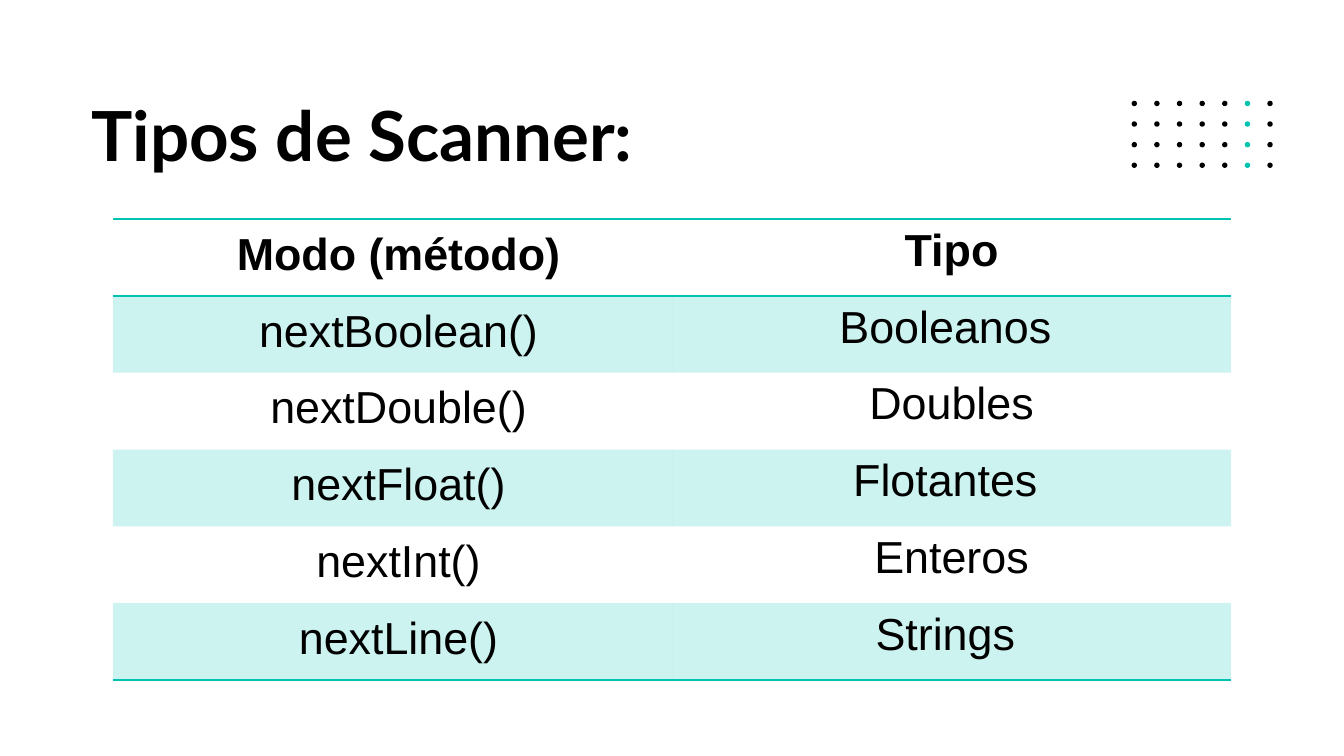
from dataclasses import dataclass

from lxml import etree
from pptx import Presentation
from pptx.dml.color import RGBColor
from pptx.enum import shapes, text
from pptx.oxml import ns
from pptx.util import Inches, Pt


@dataclass(frozen=True)
class Theme:
    ink: str = "000000"
    accent: str = "00C3B1"
    band_alpha: int = 20
    title_font: str = "Lato"
    body_font: str = "Arial"
    title_size: int = 37
    body_size: int = 24
    border_width: int = 1


@dataclass(frozen=True)
class ScannerType:
    method: str
    kind: str


@dataclass(frozen=True)
class DotGrid:
    left: float
    top: float
    right: float
    bottom: float
    cols: int
    rows: int
    accent_col: int
    size: float


THEME = Theme()
NO_STYLE = "{2D5ABB26-0587-4C30-8999-92F81FD0307C}"
HEADER = ScannerType("Modo (método)", "Tipo")
TYPES = [
    ScannerType("nextBoolean()", "Booleanos "),
    ScannerType("nextDouble()", "Doubles"),
    ScannerType("nextFloat()", "Flotantes "),
    ScannerType("nextInt()", "Enteros"),
    ScannerType("nextLine()", "Strings "),
]
DOTS = DotGrid(8.42, 0.75, 9.43, 1.21, cols=7, rows=4, accent_col=5, size=0.04)


def format_run(r, font: str, size: int, bold: bool) -> None:
    r.font.name = font
    r.font.size = Pt(size)
    r.font.bold = bold
    r.font.color.rgb = RGBColor.from_string(THEME.ink)


def add_dots(s, grid: DotGrid) -> None:
    dx = (grid.right - grid.left) / (grid.cols - 1)
    dy = (grid.bottom - grid.top) / (grid.rows - 1)
    for row in range(grid.rows):
        for col in range(grid.cols):
            sp = s.shapes.add_shape(
                shapes.MSO_SHAPE.OVAL,
                Inches(grid.left + col * dx), Inches(grid.top + row * dy),
                Inches(grid.size), Inches(grid.size))
            color = THEME.accent if col == grid.accent_col else THEME.ink
            sp.fill.solid()
            sp.fill.fore_color.rgb = RGBColor.from_string(color)
            sp.line.fill.background()
            sp.shadow.inherit = False


def set_title(s, title: str) -> None:
    sp = s.shapes.title
    sp.left, sp.top = Inches(0.58), Inches(0.59)
    sp.width, sp.height = Inches(8.86), Inches(0.79)
    tf = sp.text_frame
    tf.text = title
    tf.word_wrap = True
    tf.auto_size = text.MSO_AUTO_SIZE.NONE
    tf.vertical_anchor = text.MSO_ANCHOR.TOP
    tf.margin_left = tf.margin_right = tf.margin_top = tf.margin_bottom = Inches(0.1)
    p = tf.paragraphs[0]
    p.alignment = text.PP_ALIGN.LEFT
    p.line_spacing = 1.0
    p.space_before = Pt(0)
    format_run(p.runs[0], THEME.title_font, THEME.title_size, True)


def add_border(cell, side: str) -> None:
    tc_pr = cell._tc.get_or_add_tcPr()
    ln = etree.SubElement(tc_pr, ns.qn(f"a:{side}"), w=str(Pt(THEME.border_width)))
    fill = etree.SubElement(ln, ns.qn("a:solidFill"))
    etree.SubElement(fill, ns.qn("a:srgbClr"), val=THEME.accent)


def fill_band(cell) -> None:
    cell.fill.solid()
    cell.fill.fore_color.rgb = RGBColor.from_string(THEME.accent)
    clr = cell._tc.tcPr.find(ns.qn("a:solidFill")).find(ns.qn("a:srgbClr"))
    etree.SubElement(clr, ns.qn("a:alpha"), val=str(THEME.band_alpha * 1000))


def set_cell(cell, label: str, header: bool, banded: bool, borders: list[str]) -> None:
    cell.text = label
    p = cell.text_frame.paragraphs[0]
    p.alignment = text.PP_ALIGN.CENTER
    format_run(p.runs[0], THEME.body_font, THEME.body_size, header)
    for side in borders:
        add_border(cell, side)
    if banded:
        fill_band(cell)
    else:
        cell.fill.background()


def add_types_table(s, rows: list[ScannerType]) -> None:
    frame = s.shapes.add_table(
        len(rows), 2, Inches(0.84), Inches(1.63), Inches(8.32), Inches(3.43))
    table = frame.table
    table.first_row = table.horz_banding = False
    table._tbl.tblPr.find(ns.qn("a:tableStyleId")).text = NO_STYLE
    for i, row in enumerate(rows):
        header = i == 0
        borders = ["lnT"] if header else []
        if header or i == len(rows) - 1:
            borders.append("lnB")
        for j, label in enumerate((row.method, row.kind)):
            set_cell(table.cell(i, j), label, header, i % 2 == 1, borders)
        method = table.cell(i, 0)
        method.margin_left = Inches(0.17)
        method.margin_right = method.margin_top = method.margin_bottom = Inches(0.08)


def main() -> None:
    prs = Presentation()
    prs.slide_width, prs.slide_height = Inches(10), Inches(10 * 9 / 16)
    s = prs.slides.add_slide(prs.slide_layouts[5])
    add_dots(s, DOTS)
    set_title(s, "Tipos de Scanner:")
    add_types_table(s, [HEADER, *TYPES])
    prs.save("out.pptx")


if __name__ == "__main__":
    main()
